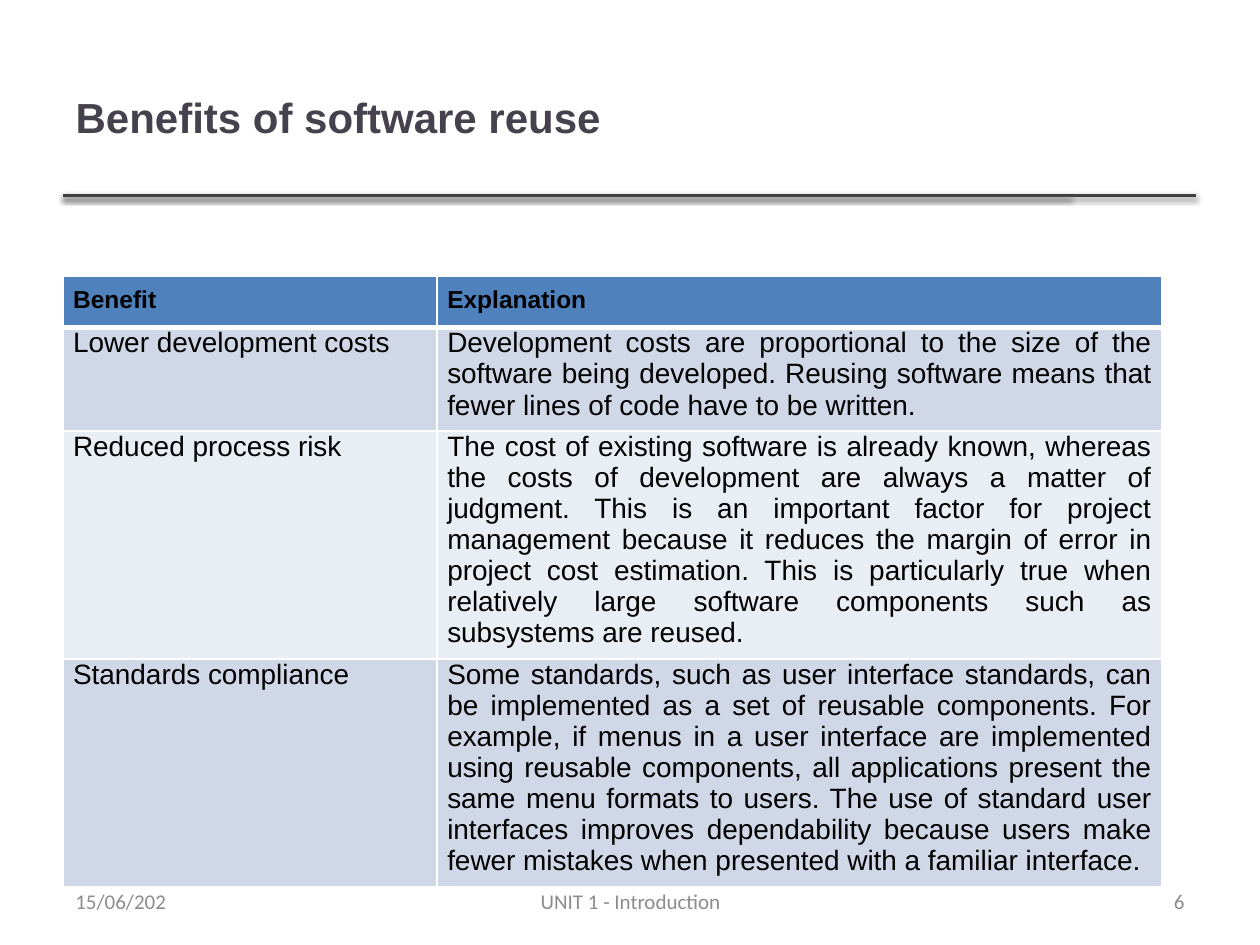
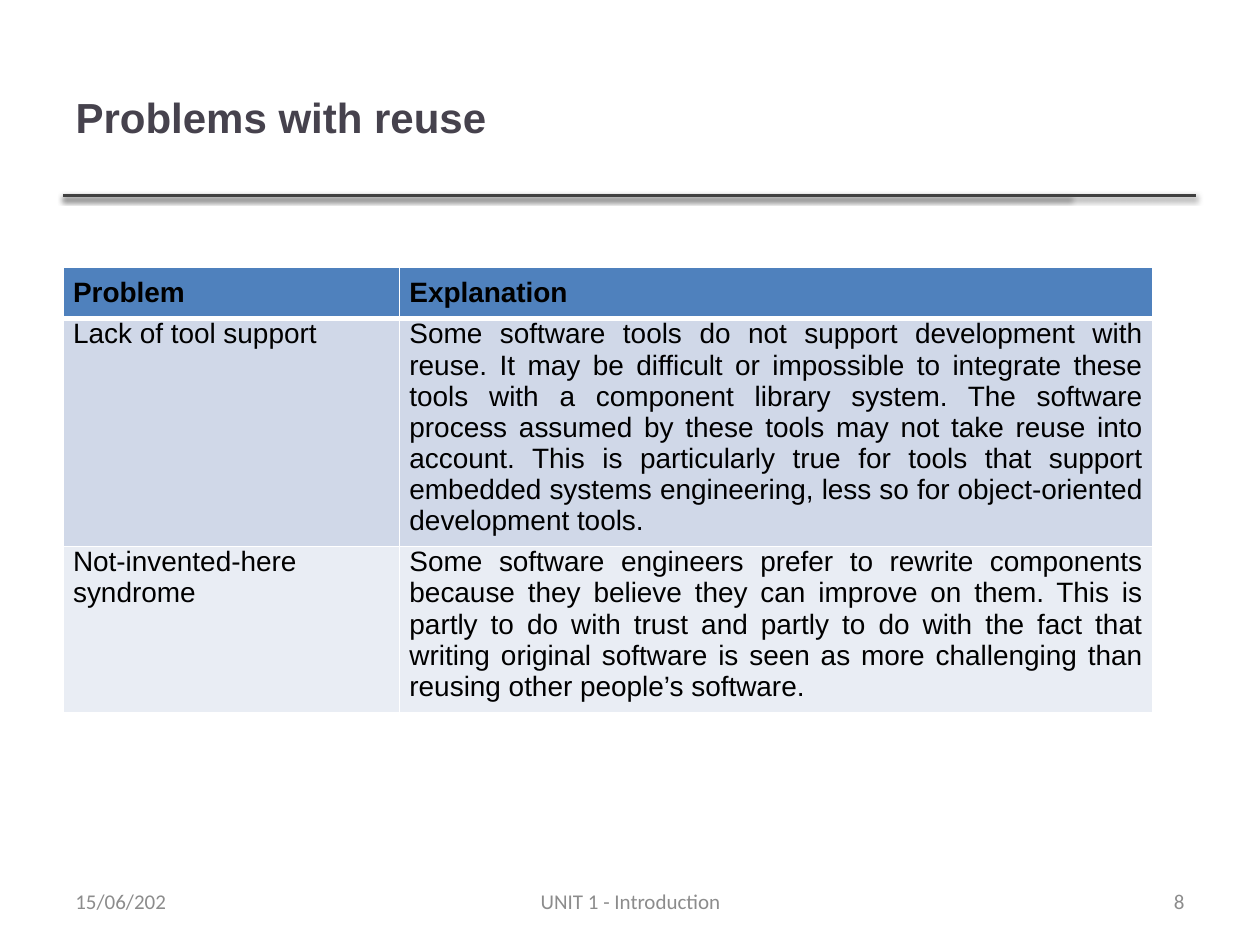
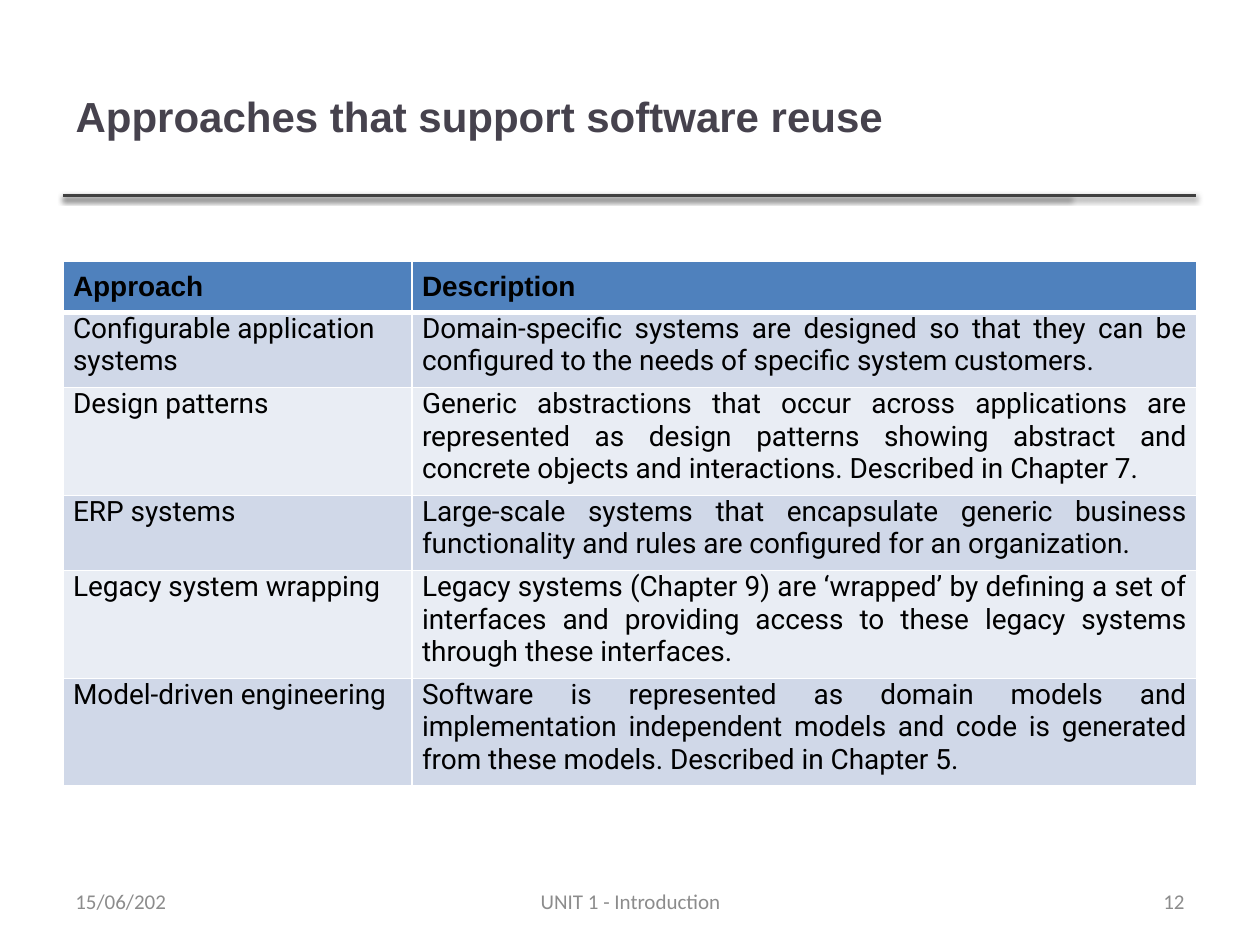
from dataclasses import dataclass

from lxml import etree
from pptx import Presentation
from pptx.dml.color import RGBColor
from pptx.enum.shapes import MSO_CONNECTOR
from pptx.enum.text import MSO_ANCHOR, MSO_AUTO_SIZE, PP_ALIGN
from pptx.oxml.ns import qn
from pptx.util import Inches, Pt

STRAIGHT = MSO_CONNECTOR.STRAIGHT
MIDDLE = MSO_ANCHOR.MIDDLE
NO_AUTOFIT = MSO_AUTO_SIZE.NONE
LEFT, CENTER, RIGHT, JUSTIFY = PP_ALIGN.LEFT, PP_ALIGN.CENTER, PP_ALIGN.RIGHT, PP_ALIGN.JUSTIFY

COLORS = {
    "title": "46424D",
    "rule": "404040",
    "shadow": "000000",
    "text": "000000",
    "header": "4F81BD",
    "odd_row": "D0D8E8",
    "even_row": "E9EDF4",
    "border": "FFFFFF",
    "footer": "8C8C8C",
}
TITLE_ONLY = 5
MARGIN = 0.5
RULE_TOP = 1.55
RULE_ENDS = (8.49, 9.49)
ROW_HEIGHT = 0.41
CELL_INSET = 0.08


@dataclass(frozen=True)
class TextStyle:
    font: str
    size: float
    color: str
    bold: bool = False
    align: PP_ALIGN = LEFT


@dataclass(frozen=True)
class FooterPart:
    left: float
    width: float
    text: str
    align: PP_ALIGN


@dataclass(frozen=True)
class TopicSlide:
    title: str
    number: int
    table_top: float
    table_height: float
    column_widths: tuple[float, float]
    headings: tuple[str, str]
    entries: tuple[tuple[str, str], ...]
    title_top: float = 0.3
    title_width: float = 8.99
    heading_size: float = 16
    body_font: str = "Arial"
    term_align: PP_ALIGN = LEFT


TOPICS = (
    TopicSlide(
        "Benefits of software reuse", 6, 2.19, 5.18, (2.97, 5.75),
        ("Benefit", "Explanation"),
        (
            ("Lower development costs",
             "Development costs are proportional to the size of the software being developed. "
             "Reusing software means that fewer lines of code have to be written."),
            ("Reduced process risk",
             "The cost of existing software is already known, whereas the costs of development "
             "are always a matter of judgment. This is an important factor for project "
             "management because it reduces the margin of error in project cost estimation. "
             "This is particularly true when relatively large software components such as "
             "subsystems are reused."),
            ("Standards compliance",
             "Some standards, such as user interface standards, can be implemented as a set of "
             "reusable components. For example, if menus in a user interface are implemented "
             "using reusable components, all applications present the same menu formats to "
             "users. The use of standard user interfaces improves dependability because users "
             "make fewer mistakes when presented with a familiar interface."),
        ),
        heading_size=14, term_align=JUSTIFY,
    ),
    TopicSlide(
        "Problems with reuse", 8, 2.12, 3.79, (2.67, 5.98),
        ("Problem", "Explanation"),
        (
            ("Lack of tool support",
             "Some software tools do not support development with reuse. It may be difficult or "
             "impossible to integrate these tools with a component library system. The software "
             "process assumed by these tools may not take reuse into account. This is "
             "particularly true for tools that support embedded systems engineering, less so "
             "for object-oriented development tools."),
            ("Not-invented-here syndrome",
             "Some software engineers prefer to rewrite components because they believe they "
             "can improve on them. This is partly to do with trust and partly to do with the "
             "fact that writing original software is seen as more challenging than reusing "
             "other people’s software."),
        ),
    ),
    TopicSlide(
        "Approaches that support software reuse", 12, 2.07, 4.29, (2.77, 6.23),
        ("Approach", "Description"),
        (
            ("Configurable application systems",
             "Domain-specific systems are designed so that they can be configured to the needs "
             "of specific system customers."),
            ("Design patterns",
             "Generic abstractions that occur across applications are represented as design "
             "patterns showing abstract and concrete objects and interactions. Described in "
             "Chapter 7."),
            ("ERP systems",
             "Large-scale systems that encapsulate generic business functionality and rules are "
             "configured for an organization."),
            ("Legacy system wrapping",
             "Legacy systems (Chapter 9) are ‘wrapped’ by defining a set of interfaces and "
             "providing access to these legacy systems through these interfaces."),
            ("Model-driven engineering",
             "Software is represented as domain models and implementation independent models "
             "and code is generated from these models. Described in Chapter 5."),
        ),
        title_top=0.29, title_width=9, body_font="Roboto",
    ),
)


def write_text(frame, text: str, style: TextStyle) -> None:
    frame.text = text
    frame.word_wrap = True
    paragraph = frame.paragraphs[0]
    paragraph.alignment = style.align
    for run in paragraph.runs:
        run.font.name = style.font
        run.font.size = Pt(style.size)
        run.font.bold = style.bold
        run.font.color.rgb = RGBColor.from_string(COLORS[style.color])


def add_title(slide, topic: TopicSlide) -> None:
    title = slide.shapes.title
    title.left, title.top = Inches(MARGIN), Inches(topic.title_top)
    title.width, title.height = Inches(topic.title_width), Inches(1.25)
    write_text(title.text_frame, topic.title, TextStyle("Arial", 24, "title", bold=True))
    title.text_frame.vertical_anchor = MIDDLE
    title.text_frame.auto_size = NO_AUTOFIT


def add_rules(slide) -> None:
    for end in RULE_ENDS:
        rule = slide.shapes.add_connector(
            STRAIGHT, Inches(MARGIN), Inches(RULE_TOP), Inches(end), Inches(RULE_TOP))
        rule.line.color.rgb = RGBColor.from_string(COLORS["rule"])
        rule.line.width = Pt(2)
        effects = etree.SubElement(rule.line._get_or_add_ln().getparent(), qn("a:effectLst"))
        shadow = etree.SubElement(
            effects, qn("a:outerShdw"), blurRad="40000", dist="20000", dir="5400000", rotWithShape="0")
        tint = etree.SubElement(shadow, qn("a:srgbClr"), val=COLORS["shadow"])
        etree.SubElement(tint, qn("a:alpha"), val="38000")


def set_borders(cell, top: float, bottom: float) -> None:
    properties = cell._tc.get_or_add_tcPr()
    for side, width in (("L", 1), ("R", 1), ("T", top), ("B", bottom)):
        border = etree.SubElement(properties, qn(f"a:ln{side}"), w=str(Pt(width)))
        fill = etree.SubElement(border, qn("a:solidFill"))
        etree.SubElement(fill, qn("a:srgbClr"), val=COLORS["border"])


def add_topic_table(slide, topic: TopicSlide) -> None:
    rows = (topic.headings, *topic.entries)
    table_frame = slide.shapes.add_table(
        len(rows), len(topic.headings), Inches(MARGIN), Inches(topic.table_top),
        Inches(sum(topic.column_widths)), Inches(topic.table_height))
    table = table_frame.table
    for column, width in zip(table.columns, topic.column_widths):
        column.width = Inches(width)
    for row_index, texts in enumerate(rows):
        table.rows[row_index].height = Inches(ROW_HEIGHT)
        is_header = row_index == 0
        band = "header" if is_header else "odd_row" if row_index % 2 else "even_row"
        for column_index, text in enumerate(texts):
            cell = table.cell(row_index, column_index)
            cell.margin_left = cell.margin_right = cell.margin_bottom = Inches(CELL_INSET)
            cell.margin_top = Inches(CELL_INSET if is_header else 0)
            set_borders(cell, top=3 if row_index == 1 else 1, bottom=3 if is_header else 1)
            cell.fill.solid()
            cell.fill.fore_color.rgb = RGBColor.from_string(COLORS[band])
            if is_header:
                style = TextStyle("Arial", topic.heading_size, "text", True, JUSTIFY)
            else:
                align = JUSTIFY if column_index else topic.term_align
                style = TextStyle(topic.body_font, 16, "text", align=align)
            write_text(cell.text_frame, text, style)
    table_frame.height = Inches(topic.table_height)


def add_footer(slide, number: int) -> None:
    for part in (
        FooterPart(3.42, 3.17, "UNIT 1 - Introduction", CENTER),
        FooterPart(7.17, 2.33, str(number), RIGHT),
        FooterPart(MARGIN, 2.33, "15/06/202", LEFT),
    ):
        box = slide.shapes.add_textbox(
            Inches(part.left), Inches(6.95), Inches(part.width), Inches(0.4))
        write_text(box.text_frame, part.text, TextStyle("Calibri", 12, "footer", align=part.align))
        box.text_frame.vertical_anchor = MIDDLE


def main() -> None:
    """Build the three software reuse slides."""
    deck = Presentation()
    deck.slide_width, deck.slide_height = Inches(10), Inches(7.5)
    for topic in TOPICS:
        slide = deck.slides.add_slide(deck.slide_layouts[TITLE_ONLY])
        add_rules(slide)
        add_title(slide, topic)
        add_topic_table(slide, topic)
        add_footer(slide, topic.number)
    deck.save("out.pptx")


if __name__ == "__main__":
    main()
